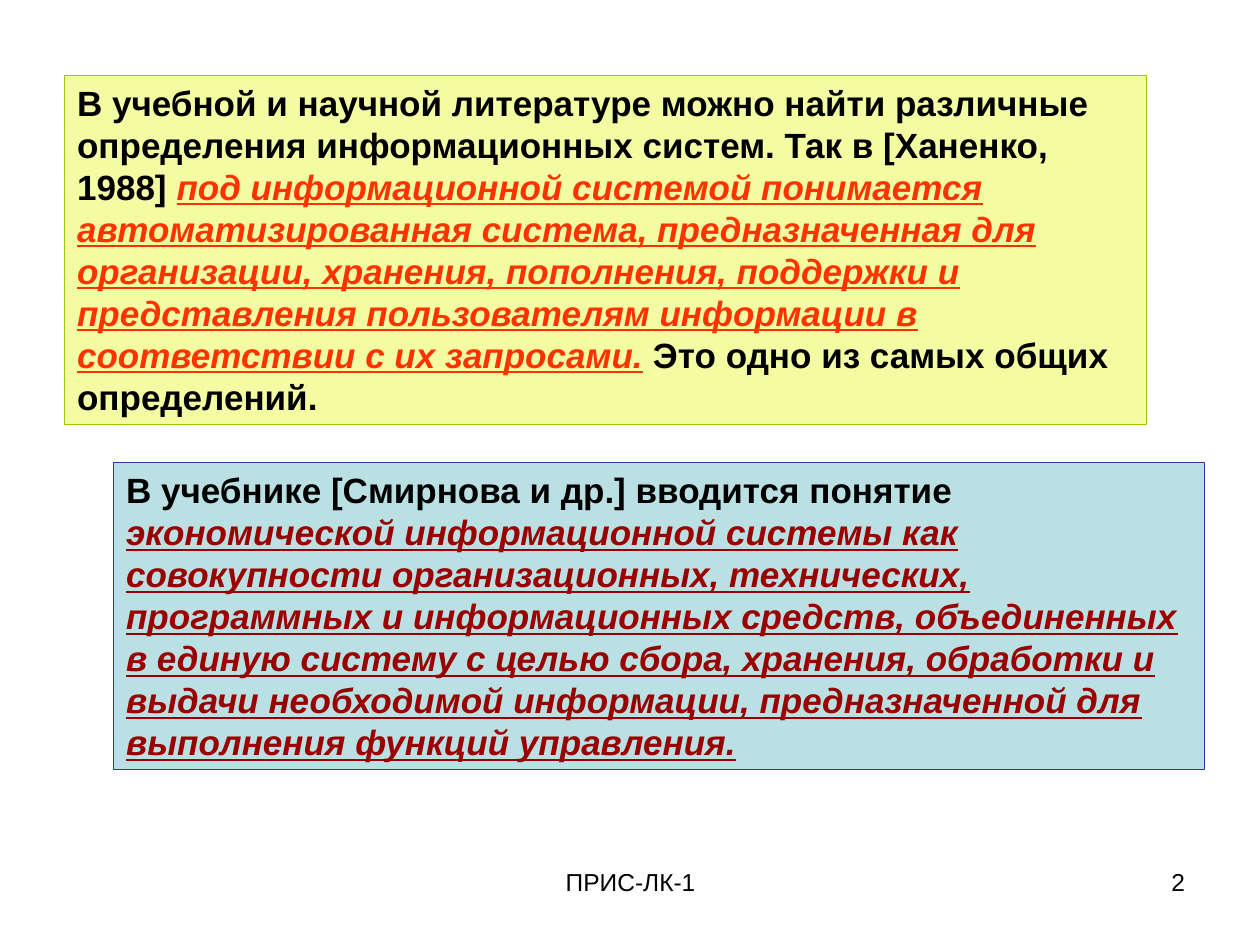
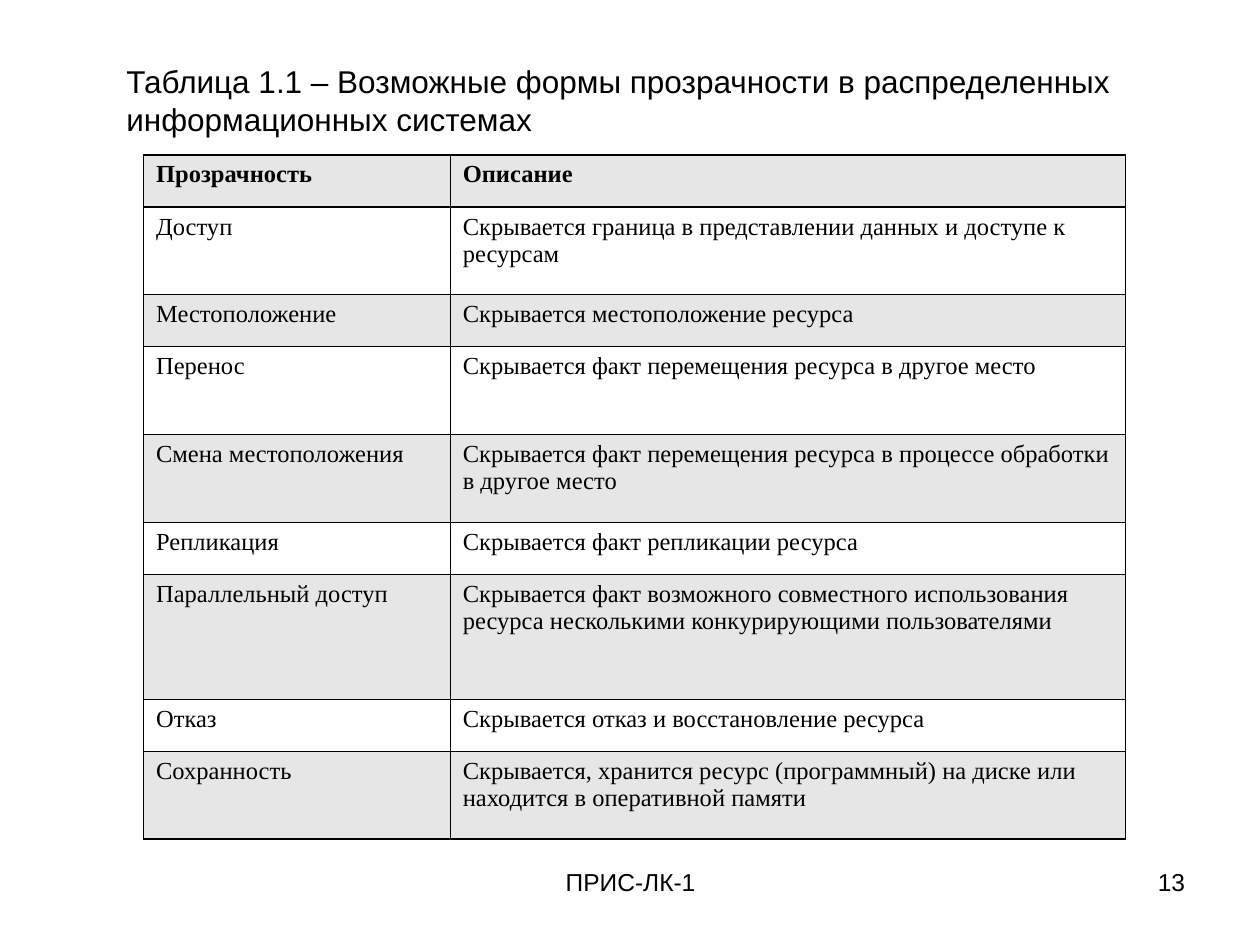
"""Build two lecture slides: definitions of information systems and a table of transparency forms."""
from lxml import etree
from pptx import Presentation
from pptx.dml.color import RGBColor
from pptx.enum import shapes, text
from pptx.oxml import ns
from pptx.util import Pt

BLACK, GREY = "000000", "E6E6E6"
THICK, THIN = 0.96, 0.45
LEFT, CENTER, RIGHT = text.PP_ALIGN.LEFT, text.PP_ALIGN.CENTER, text.PP_ALIGN.RIGHT


def color(value):
    """Turn a hex string into a colour."""
    return RGBColor.from_string(value)


def write(frame, spans, size, align=LEFT, name="Arial", leading=1.2):
    """Fill a text frame with one paragraph of (text, colour, font format) spans."""
    frame.word_wrap = True
    frame.vertical_anchor = text.MSO_ANCHOR.TOP
    para = frame.paragraphs[0]
    para.alignment = align
    if leading:
        para.line_spacing = Pt(size * leading)
    for words, tone, style in spans:
        span = para.add_run()
        span.text = words
        span.font.color.rgb = color(tone)
        for key, value in {"name": name, "size": Pt(size), **style}.items():
            setattr(span.font, key, value)


deck = Presentation()
deck.slide_width, deck.slide_height = Pt(720), Pt(540)
definitions = deck.slides.add_slide(deck.slide_layouts[6])
forms = deck.slides.add_slide(deck.slide_layouts[5])

for page, number in ((definitions, "2"), (forms, "13")):
    for left, width, words, align in ((246.25, 228.25, "ПРИС-ЛК-1", CENTER),
                                      (516.25, 168, number, RIGHT)):
        footer = page.shapes.add_textbox(Pt(left), Pt(491.75), Pt(width), Pt(37.5))
        write(footer.text_frame, [(words, BLACK, {})], 14, align)

BOLD = {"bold": True}
TERM = {"bold": True, "italic": True, "underline": True}
quotes = [
    ((37, 43, 618, 199.5), "F3FBA3", "99CC00", [
        ("В учебной и научной литературе можно найти различные определения "
         "информационных систем. Так в [Ханенко, 1988] ", BLACK, BOLD),
        ("под информационной системой понимается автоматизированная система, "
         "предназначенная для организации, хранения, пополнения, поддержки и "
         "представления пользователям информации в соответствии с их запросами.",
         "FF3300", TERM),
        (" Это одно из самых общих определений.", BLACK, BOLD)]),
    ((65, 264.25, 623.5, 175.5), "BBE0E3", "333399", [
        ("В учебнике [Смирнова и др.] вводится понятие ", BLACK, BOLD),
        ("экономической информационной системы как совокупности организационных, "
         "технических, программных и информационных средств, объединенных в единую "
         "систему с целью сбора, хранения, обработки и выдачи необходимой информации, "
         "предназначенной для выполнения функций управления.", "990000", TERM)]),
]
for place, fill, line, spans in quotes:
    box = definitions.shapes.add_shape(shapes.MSO_SHAPE.RECTANGLE, *map(Pt, place))
    box.shadow.inherit = False
    box.fill.solid()
    box.fill.fore_color.rgb = color(fill)
    box.line.color.rgb = color(line)
    box.line.width = Pt(0.75)
    write(box.text_frame, spans, 20)

title = forms.shapes.title
title.left, title.top, title.width, title.height = map(Pt, (65, 32, 607, 50.4))
title.text_frame.auto_size = text.MSO_AUTO_SIZE.NONE
write(title.text_frame, [("Таблица 1.1 – Возможные формы прозрачности в распределенных "
                          "информационных системах", BLACK, {})], 18)

rows = [
    (29.75, "Прозрачность", "Описание"),
    (50.25, "Доступ", "Скрывается граница в представлении данных и доступе к ресурсам"),
    (29.75, "Местоположение", "Скрывается местоположение ресурса"),
    (50.25, "Перенос", "Скрывается факт перемещения ресурса в другое место"),
    (50.25, "Смена местоположения",
     "Скрывается факт перемещения ресурса в процессе обработки в другое место"),
    (29.75, "Репликация", "Скрывается факт репликации ресурса"),
    (71, "Параллельный доступ",
     "Скрывается факт возможного совместного использования ресурса "
     "несколькими конкурирующими пользователями"),
    (29.75, "Отказ", "Скрывается отказ и восстановление ресурса"),
    (50.25, "Сохранность",
     "Скрывается, хранится ресурс (программный) на диске или находится "
     "в оперативной памяти"),
]
widths = (175.25, 386)
height = sum(row[0] for row in rows)
table = forms.shapes.add_table(len(rows), len(widths), Pt(82), Pt(88.5),
                               Pt(sum(widths)), Pt(height)).table
table.first_row = table.horz_banding = False
for column, width in zip(table.columns, widths):
    column.width = Pt(width)

for r, (row_height, *words) in enumerate(rows):
    table.rows[r].height = Pt(row_height)
    for c, label in enumerate(words):
        cell = table.cell(r, c)
        write(cell.text_frame, [(label, BLACK, {"bold": r == 0})], 14,
              name="Times New Roman", leading=None)
        heavy = {"L": c == 0, "R": c == len(widths) - 1,
                 "T": r < 2, "B": r in (0, len(rows) - 1)}
        props = cell._tc.get_or_add_tcPr()
        for side, is_heavy in heavy.items():
            weight = Pt(THICK if is_heavy else THIN)
            border = etree.SubElement(props, ns.qn("a:ln" + side), w=str(int(weight)))
            paint = etree.SubElement(border, ns.qn("a:solidFill"))
            etree.SubElement(paint, ns.qn("a:srgbClr"), val=BLACK)
        if r % 2:
            cell.fill.background()
        else:
            cell.fill.solid()
            cell.fill.fore_color.rgb = color(GREY)

deck.save("out.pptx")
